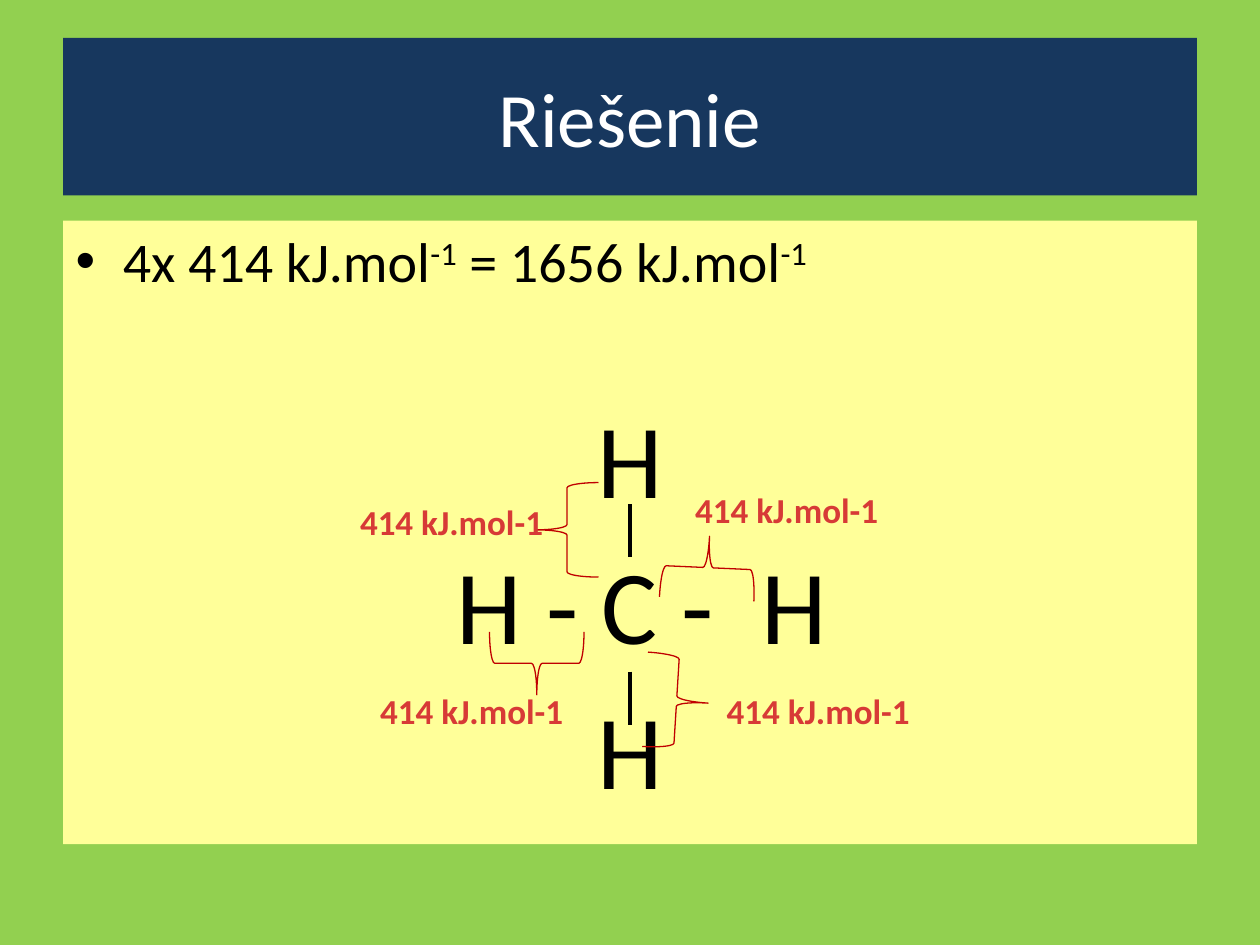
from lxml.etree import SubElement
from pptx import Presentation
from pptx.dml.color import RGBColor
from pptx.enum.shapes import MSO_CONNECTOR, MSO_SHAPE
from pptx.enum.text import MSO_ANCHOR, MSO_AUTO_SIZE, PP_ALIGN
from pptx.oxml.ns import qn
from pptx.util import Inches, Pt

GREEN = RGBColor(0x92, 0xD0, 0x50)
NAVY = RGBColor(0x17, 0x37, 0x5E)
CREAM = RGBColor(0xFF, 0xFF, 0x99)
WHITE = RGBColor(0xFF, 0xFF, 0xFF)
BLACK = RGBColor(0, 0, 0)
RED = RGBColor(0xC0, 0, 0)
CORAL = RGBColor(0xD7, 0x3A, 0x36)
FONT = "Calibri"

TITLE = "Riešenie"
# text, superscript
SUM = [("4x 414 kJ.mol", False), ("-1", True),
       (" = 1656 kJ.mol", False), ("-1", True)]
# text, space before in points
ATOMS = [("H", 57), (" H - C -  H", 11), ("H", 11)]
ENERGY = "414 kJ.mol-1"

WIDTH, HEIGHT = 10, 7.5
MARGIN = WIDTH / 20
MID = WIDTH / 2
BOND_TOPS, BOND = (4, 5.33), 0.42
BRACE_W, BRACE_H = 0.5, 0.75
LABEL_W, LABEL_H = 1.83, 0.44
# brace left, top, rotation; label left, top
BONDS = [
    ((5.37, 4.13, 272.6), (5.33, 3.83)),
    ((4.01, 4.89, 90), (2.83, 5.42)),
    ((4.25, 3.83, 180), (2.67, 3.92)),
    ((5.12, 5.19, 3.5), (5.58, 5.42)),
]


def place(shape, top, height, color):
    shape.left, shape.top = Inches(MARGIN), Inches(top)
    shape.width, shape.height = Inches(WIDTH - 2 * MARGIN), Inches(height)
    shape.fill.solid()
    shape.fill.fore_color.rgb = color
    shape.text_frame.auto_size = MSO_AUTO_SIZE.NONE


def write(para, text, size, color, bold=False):
    run = para.add_run()
    run.text = text
    font = run.font
    font.name, font.size, font.bold = FONT, Pt(size), bold
    font.color.rgb = color
    return run


def add_bond(slide, top):
    line = slide.shapes.add_connector(
        MSO_CONNECTOR.STRAIGHT, Inches(MID), Inches(top),
        Inches(MID), Inches(top + BOND))
    line.line.color.rgb = BLACK
    line.line.width = Pt(2.25)
    SubElement(line._element.spPr, qn("a:effectLst"))


def add_brace(slide, left, top, turn):
    brace = slide.shapes.add_shape(
        MSO_SHAPE.RIGHT_BRACE, Inches(left), Inches(top),
        Inches(BRACE_W), Inches(BRACE_H))
    brace.rotation = turn
    brace.shadow.inherit = False
    brace.fill.background()
    brace.line.color.rgb = RED
    brace.line.width = Pt(0.75)


def add_label(slide, left, top):
    box = slide.shapes.add_textbox(
        Inches(left), Inches(top), Inches(LABEL_W), Inches(LABEL_H))
    frame = box.text_frame
    frame.word_wrap = True
    frame.auto_size = MSO_AUTO_SIZE.SHAPE_TO_FIT_TEXT
    para = frame.paragraphs[0]
    para.alignment = PP_ALIGN.CENTER
    write(para, ENERGY, 20, CORAL, bold=True)


def fill_body(frame):
    para = frame.paragraphs[0]
    para.space_before = Pt(0)
    for text, raised in SUM:
        run = write(para, text, 32, BLACK)
        if raised:
            run.font._element.set("baseline", "30000")
    for text, gap in ATOMS:
        para = frame.add_paragraph()
        props = para._p.get_or_add_pPr()
        props.set("marL", "0")
        props.set("indent", "0")
        SubElement(props, qn("a:buNone"))
        para.alignment = PP_ALIGN.CENTER
        para.space_before = Pt(gap)
        write(para, text, 60, BLACK)


def main():
    deck = Presentation()
    deck.slide_width, deck.slide_height = Inches(WIDTH), Inches(HEIGHT)
    slide = deck.slides.add_slide(deck.slide_layouts[1])
    slide.background.fill.solid()
    slide.background.fill.fore_color.rgb = GREEN

    title, body = slide.placeholders
    place(title, 0.3, 1.25, NAVY)
    title.text_frame.vertical_anchor = MSO_ANCHOR.MIDDLE
    para = title.text_frame.paragraphs[0]
    para.alignment = PP_ALIGN.CENTER
    write(para, TITLE, 44, WHITE)

    place(body, 1.75, 4.95, CREAM)
    fill_body(body.text_frame)

    for top in BOND_TOPS:
        add_bond(slide, top)
    for brace, _ in BONDS:
        add_brace(slide, *brace)
    for _, label in BONDS:
        add_label(slide, *label)
    deck.save("out.pptx")


if __name__ == "__main__":
    main()
